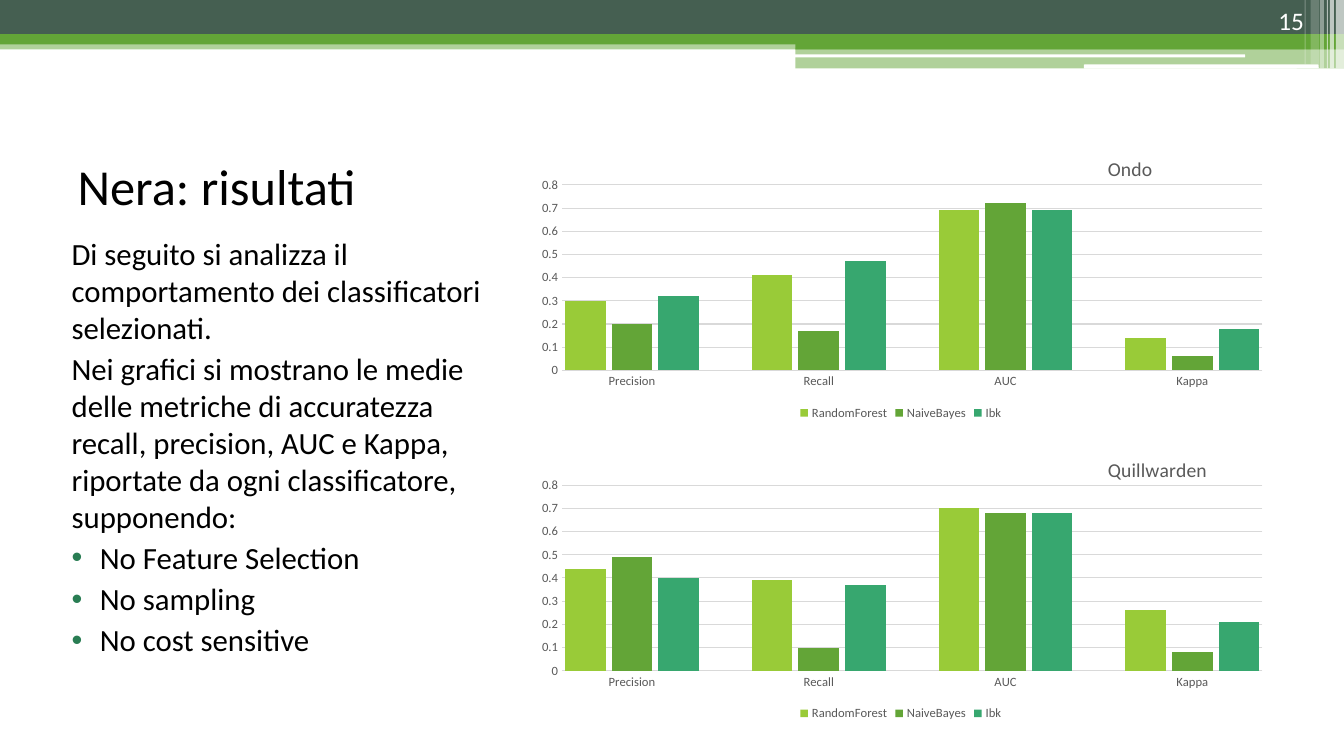
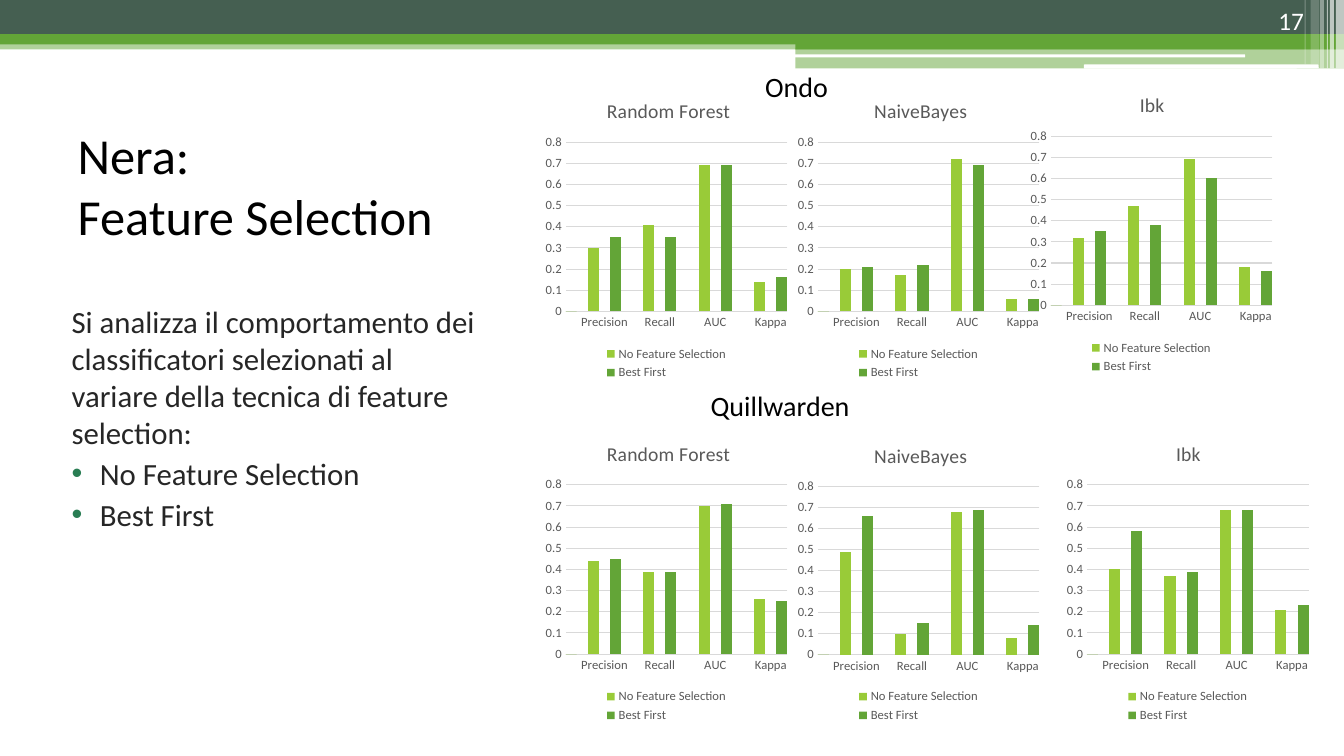
from pptx import Presentation
from pptx.chart.data import CategoryChartData
from pptx.dml.color import RGBColor
from pptx.enum.chart import XL_CHART_TYPE, XL_LEGEND_POSITION, XL_TICK_MARK
from pptx.enum.shapes import MSO_SHAPE
from pptx.enum.text import MSO_ANCHOR, MSO_AUTO_SIZE, PP_ALIGN
from pptx.oxml import parse_xml
from pptx.oxml.ns import nsdecls, qn
from pptx.oxml.xmlchemy import OxmlElement
from pptx.util import Emu, Pt

PX = 9144  # one px is a hundredth of an inch
FONT = "Calibri"
BLACK, WHITE, DARK_TEXT = "000000", "FFFFFF", "262626"
SLATE, GREEN, BULLET = "455F51", "63A537", "297D53"
GREY, GRID = "595959", "D9D9D9"
SERIES_COLORS = ["99CB38", GREEN, "37A76F"]

# left, top, width, height, colour, opacity %
BANDS = [
    (0, 40, 1333, 9, GREEN, 50),
    (0, 0, 1333, 34, SLATE, 100),
    (0, 34, 1333, 10, GREEN, 100),
    (789, 39, 544, 10, GREEN, 100),
    (789, 48, 544, 20, GREEN, 50),
]
ROUNDED_LINES = [(788, 54, 447, 3, WHITE, 100), (1075, 64, 233, 4, WHITE, 100)]
EDGE_STRIPES = [
    (1325, 0, 8, 68, WHITE, 65),
    (1319, 0, 4, 68, WHITE, 65),
    (1316, 0, 1, 68, WHITE, 60),
    (1309, 0, 4, 68, WHITE, 40),
    (1300, 0, 8, 64, WHITE, 20),
    (1294, 0, 1, 64, WHITE, 30),
]

TOOL = "Nera"
PROJECTS = ["Ondo", "Quillwarden"]
METRICS = ["Precision", "Recall", "AUC", "Kappa"]
CLASSIFIERS = ["RandomForest", "NaiveBayes", "Ibk"]
# one table per project, one row per classifier, one value per metric
NO_SELECTION = [
    [[0.3, 0.41, 0.69, 0.14], [0.2, 0.17, 0.72, 0.06], [0.32, 0.47, 0.69, 0.18]],
    [[0.44, 0.39, 0.7, 0.26], [0.49, 0.1, 0.68, 0.08], [0.4, 0.37, 0.68, 0.21]],
]
BEST_FIRST = [
    [[0.35, 0.35, 0.69, 0.16], [0.21, 0.22, 0.69, 0.06], [0.35, 0.38, 0.6, 0.16]],
    [[0.45, 0.39, 0.71, 0.25], [0.66, 0.15, 0.69, 0.14], [0.58, 0.39, 0.68, 0.23]],
]


def px(n):
    return Emu(n * PX)


def rgb(color):
    return RGBColor.from_string(color)


def style(font, size, color):
    font.name, font.size, font.bold = FONT, Pt(size), False
    font.color.rgb = rgb(color)


def place(shape, box):
    shape.left, shape.top, shape.width, shape.height = map(px, box)


def add_run(p, text, size, color):
    r = p.add_run()
    r.text = text
    style(r.font, size, color)


# Shared bands
def add_band(s, kind, left, top, width, height, color, opacity):
    sp = s.shapes.add_shape(kind, *map(px, (left, top, width, height)))
    sp.shadow.inherit = False
    sp.line.fill.background()
    sp.fill.solid()
    sp.fill.fore_color.rgb = rgb(color)
    if opacity < 100:
        alpha = OxmlElement("a:alpha")
        alpha.set("val", str(opacity * 1000))
        sp.element.find(".//" + qn("a:srgbClr")).append(alpha)
    return sp


def move_bands_to_master(prs, s):
    tree = prs.slide_master.shapes.element
    groups = [(MSO_SHAPE.RECTANGLE, BANDS), (MSO_SHAPE.ROUNDED_RECTANGLE, ROUNDED_LINES),
              (MSO_SHAPE.RECTANGLE, EDGE_STRIPES)]
    bands = [(kind, band) for kind, group in groups for band in group]
    for i, (kind, band) in enumerate(bands):
        el = add_band(s, kind, *band).element
        el.find(".//" + qn("p:cNvPr")).set("id", str(100 + i))
        tree.insert(2 + i, el)


# Text
def add_title(s, lines, box):
    place(s.shapes.title, box)
    tf = s.shapes.title.text_frame
    tf.auto_size, tf.vertical_anchor = MSO_AUTO_SIZE.NONE, MSO_ANCHOR.MIDDLE
    p = tf.paragraphs[0]
    p.alignment = PP_ALIGN.LEFT
    for i, line in enumerate(lines):
        if i:
            p.add_line_break()
        add_run(p, line, 36, BLACK)


def set_bullet(p, bulleted):
    pPr = p._p.get_or_add_pPr()
    margin, indent = (40, -28) if bulleted else (12, 0)
    pPr.set("marL", str(px(margin)))
    pPr.set("indent", str(px(indent)))
    if not bulleted:
        pPr.append(OxmlElement("a:buNone"))
        return
    for xml in (f'<a:buClr {nsdecls("a")}><a:srgbClr val="{BULLET}"/></a:buClr>',
                f'<a:buFont {nsdecls("a")} typeface="Arial"/>',
                f'<a:buChar {nsdecls("a")} char="•"/>'):
        pPr.append(parse_xml(xml))


def add_body(s, intro, bullets, box, color):
    body = s.placeholders[1]
    place(body, box)
    tf = body.text_frame
    tf.auto_size, tf.vertical_anchor = MSO_AUTO_SIZE.NONE, MSO_ANCHOR.TOP
    for i, text in enumerate(intro + bullets):
        p = tf.add_paragraph() if i else tf.paragraphs[0]
        p.space_before, p.line_spacing = Pt(3), 1.0
        set_bullet(p, i >= len(intro))
        add_run(p, text, 22, color)


def add_label(s, text, box, size=20, color=BLACK, align=PP_ALIGN.LEFT, anchor=MSO_ANCHOR.TOP):
    tf = s.shapes.add_textbox(*map(px, box)).text_frame
    tf.word_wrap, tf.vertical_anchor = True, anchor
    p = tf.paragraphs[0]
    p.alignment = align
    add_run(p, text, size, color)


def add_slide(prs, number, title, title_box):
    s = prs.slides.add_slide(prs.slide_layouts[1])
    add_title(s, title, title_box)
    add_label(s, number, (1192, 0, 111, 40), 18, WHITE, PP_ALIGN.RIGHT, MSO_ANCHOR.BOTTOM)
    return s


# Charts
def spread(values, first, step, count):
    """Put the values in every step-th slot, leaving the others empty."""
    slots = [None] * count
    slots[first::step] = values
    return slots


def set_layout(parent, index, **fractions):
    layout = parent.find(qn("c:layout"))
    if layout is None:
        layout = OxmlElement("c:layout")
        parent.insert(index, layout)
    manual = OxmlElement("c:manualLayout")
    layout.append(manual)
    settings = {"xMode": "edge", "yMode": "edge", **fractions}
    if "w" in fractions:
        settings = {"layoutTarget": "inner", **settings}
    for tag, value in settings.items():
        el = OxmlElement("c:" + tag)
        el.set("val", str(value))
        manual.append(el)


def format_axes(chart):
    cat, val = chart.category_axis, chart.value_axis
    for axis in (cat, val):
        axis.major_tick_mark = axis.minor_tick_mark = XL_TICK_MARK.NONE
        style(axis.tick_labels.font, 9, GREY)
    # Keep the category labels on one horizontal line
    cat_axis = chart.element.find(".//" + qn("c:catAx"))
    body = cat_axis.find(qn("c:txPr")).find(qn("a:bodyPr"))
    body.set("rot", "-60000000")
    body.set("vert", "horz")
    val.minimum_scale, val.maximum_scale, val.major_unit = 0, 0.8, 0.1
    val.format.line.fill.background()
    for line in (cat.format.line, val.major_gridlines.format.line):
        line.color.rgb = rgb(GRID)
        line.width = Pt(0.75)


def add_metric_chart(s, kind, box, title, title_at, plot, cats, series, gap):
    data = CategoryChartData()
    data.categories = cats
    for name, values in series:
        data.add_series(name, values)
    chart = s.shapes.add_chart(kind, *map(px, box), data).chart
    style(chart.font, 10, BLACK)
    chart.element.find(qn("c:txPr")).addprevious(parse_xml(
        f'<c:spPr {nsdecls("c", "a")}><a:noFill/><a:ln><a:noFill/></a:ln></c:spPr>'))

    chart.has_title = True
    add_run(chart.chart_title.text_frame.paragraphs[0], title, 14, GREY)
    set_layout(chart.element.find(".//" + qn("c:title")), 1, x=title_at[0], y=title_at[1])
    set_layout(chart.element.find(".//" + qn("c:plotArea")), 0, **plot)

    chart.has_legend = True
    chart.legend.position = XL_LEGEND_POSITION.BOTTOM
    chart.legend.include_in_layout = False
    style(chart.legend.font, 9, GREY)
    format_axes(chart)

    bars = chart.plots[0]
    bars.vary_by_categories = False
    bars.gap_width, bars.overlap = gap, 100
    for ser, color in zip(bars.series, SERIES_COLORS):
        ser.format.fill.solid()
        ser.format.fill.fore_color.rgb = rgb(color)


def add_classifier_chart(s, project, top):
    step, count = 4, 15
    cats = [c or "" for c in spread(METRICS, 1, step, count)]
    series = [(name, spread(values, i, step, count))
              for i, (name, values) in enumerate(zip(CLASSIFIERS, NO_SELECTION[project]))]
    add_metric_chart(s, XL_CHART_TYPE.COLUMN_STACKED, (520, top, 747, 297), PROJECTS[project],
                     (0.77, 0.09), dict(x=0.05, y=0.2, w=0.93, h=0.62), cats, series, 15)


def add_selection_chart(s, project, index, box):
    step, count = 5, 20
    title, title_x = [("Random Forest", 0.25), ("NaiveBayes", 0.31), ("Ibk", 0.44)][index]
    cats = [c or "" for c in spread(METRICS, 3, step, count)]
    series = []
    for name, table, first in (("No Feature Selection", NO_SELECTION, 2),
                               ("Best First", BEST_FIRST, 4)):
        slots = spread(table[project][index], first, step, count)
        slots[0] = 0
        series.append((name, slots))
    add_metric_chart(s, XL_CHART_TYPE.COLUMN_CLUSTERED, box, title, (title_x, 0.04),
                     dict(x=0.1, y=0.2, w=0.88, h=0.56), cats, series, 0)


# Slides
def results_slide(prs):
    s = add_slide(prs, "15", [f"{TOOL}: risultati"], (67, 125, 414, 117))
    move_bands_to_master(prs, s)
    add_body(s, [
        "Di seguito si analizza il comportamento dei classificatori selezionati.",
        "Nei grafici si mostrano le medie delle metriche di accuratezza recall, precision, "
        "AUC e Kappa, riportate da ogni classificatore, supponendo:",
    ], ["No Feature Selection", "No sampling", "No cost sensitive"], (49, 228, 442, 453), BLACK)
    for project, top in enumerate((124, 422)):
        add_classifier_chart(s, project, top)


def selection_slide(prs):
    s = add_slide(prs, "17", [f"{TOOL}:", "Feature Selection"], (67, 125, 405, 117))
    add_body(s, [
        "Si analizza il comportamento dei classificatori selezionati al variare "
        "della tecnica di feature selection:",
    ], ["No Feature Selection", "Best First"], (49, 295, 436, 385), DARK_TEXT)
    rows = [
        ((749, 64, 90, 44), [(536, 81, 250, 300), (786, 81, 250, 300), (1017, 75, 250, 300)]),
        ((695, 381, 183, 44), [(536, 421, 250, 300), (786, 423, 250, 298), (1053, 421, 250, 300)]),
    ]
    for project, (label_box, chart_boxes) in enumerate(rows):
        for i, box in enumerate(chart_boxes):
            add_selection_chart(s, project, i, box)
        add_label(s, PROJECTS[project], label_box)


def main():
    prs = Presentation()
    prs.slide_width, prs.slide_height = px(1333), px(750)
    results_slide(prs)
    selection_slide(prs)
    prs.save("out.pptx")


if __name__ == "__main__":
    main()
